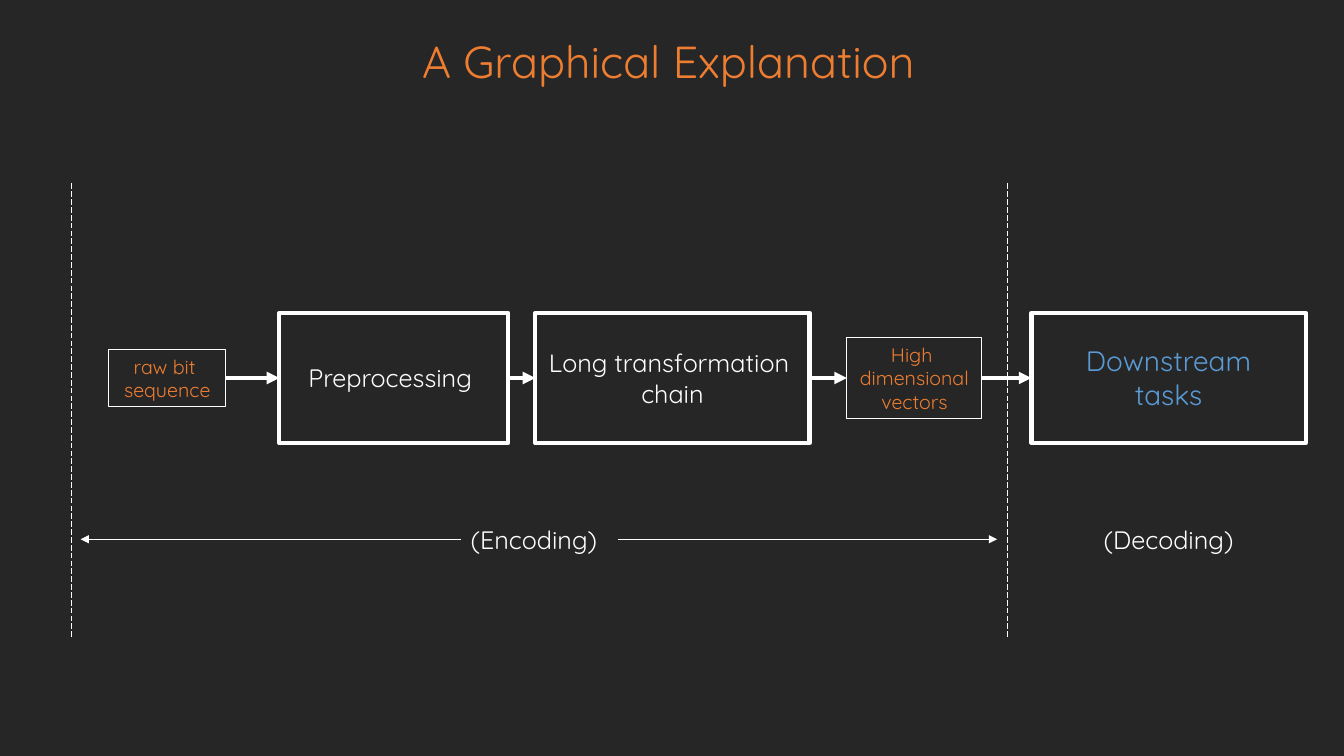
"""Build the slide that explains encoding and decoding as a chain of boxes."""
from lxml import etree
from pptx import Presentation
from pptx.dml.color import RGBColor
from pptx.enum.dml import MSO_LINE
from pptx.enum.shapes import MSO_CONNECTOR, MSO_SHAPE
from pptx.enum.text import MSO_ANCHOR, PP_ALIGN
from pptx.oxml.ns import qn
from pptx.util import Inches, Pt

RECT = MSO_SHAPE.RECTANGLE
STRAIGHT = MSO_CONNECTOR.STRAIGHT
LONG_DASH = MSO_LINE.LONG_DASH
MIDDLE = MSO_ANCHOR.MIDDLE
LEFT, CENTER = PP_ALIGN.LEFT, PP_ALIGN.CENTER

FONT = "Quicksand"
COLORS = {
    "background": "262626",
    "white": "FFFFFF",
    "orange": "ED7D31",
    "blue": "5B9BD5",
}
RGB = {name: RGBColor.from_string(value) for name, value in COLORS.items()}
FLOW_Y = 3.75
SPAN_Y = 5.35


def write(sp, text, size, color, align=CENTER):
    tf = sp.text_frame
    tf.word_wrap = False
    tf.text = text
    for p in tf.paragraphs:
        p.alignment = align
        for r in p.runs:
            r.font.name = FONT
            r.font.size = Pt(size)
            r.font.color.rgb = RGB[color]


def add_line(x1, y1, x2, y2, width, arrow=True):
    line = s.shapes.add_connector(
        STRAIGHT, Inches(x1), Inches(y1), Inches(x2), Inches(y2))
    line.line.color.rgb = RGB["white"]
    line.line.width = Pt(width)
    if arrow:
        etree.SubElement(line.line._get_or_add_ln(), qn("a:tailEnd"), type="triangle")
    etree.SubElement(line._element.spPr, qn("a:effectLst"))
    return line


prs = Presentation()
prs.slide_width, prs.slide_height = Inches(13.33), Inches(7.5)
s = prs.slides.add_slide(prs.slide_layouts[6])
s.background.fill.solid()
s.background.fill.fore_color.rgb = RGB["background"]

boxes = [
    (1.08, 1.16, 0.57, 0.75, "raw bit \nsequence"),
    (2.77, 2.27, 1.29, 3, ""),
    (5.31, 2.72, 1.29, 3, ""),
    (8.4, 1.34, 0.81, 0.75, "High \ndimensional\nvectors"),
    (10.23, 2.72, 1.29, 3, ""),
]
for x, w, h, border, text in boxes:
    sp = s.shapes.add_shape(
        RECT, Inches(x), Inches(FLOW_Y - h / 2), Inches(w), Inches(h))
    sp.shadow.inherit = False
    sp.fill.background()
    sp.line.color.rgb = RGB["white"]
    sp.line.width = Pt(border)
    sp.text_frame.vertical_anchor = MIDDLE
    if text:
        write(sp, text, 14, "orange")

labels = [
    (3.87, 0.29, 5.52, 0.64, "A Graphical Explanation", 32, "orange", CENTER),
    (2.96, 3.55, 1.9, 0.4, "Preprocessing", 18, "white", LEFT),
    (5.31, 3.4, 2.72, 0.71, "Long transformation \nchain", 18, "white", CENTER),
    (10.63, 3.36, 1.92, 0.77, "Downstream\ntasks", 20, "blue", CENTER),
    (4.57, 5.15, 1.55, 0.4, "(Encoding)", 18, "white", LEFT),
    (10.78, 5.15, 1.62, 0.4, "(Decoding)", 18, "white", CENTER),
]
for x, y, w, h, text, size, color, align in labels:
    sp = s.shapes.add_textbox(Inches(x), Inches(y), Inches(w), Inches(h))
    write(sp, text, size, color, align)

for box, next_box in zip(boxes, boxes[1:]):
    add_line(box[0] + box[1], FLOW_Y, next_box[0], FLOW_Y, 3)

for x in (0.71, 9.99):
    add_line(x, 1.82, x, 6.34, 0.5, arrow=False).line.dash_style = LONG_DASH

for start, end in ((4.57, 0.8), (6.13, 9.89)):
    add_line(start, SPAN_Y, end, SPAN_Y, 0.5)

prs.save("out.pptx")
